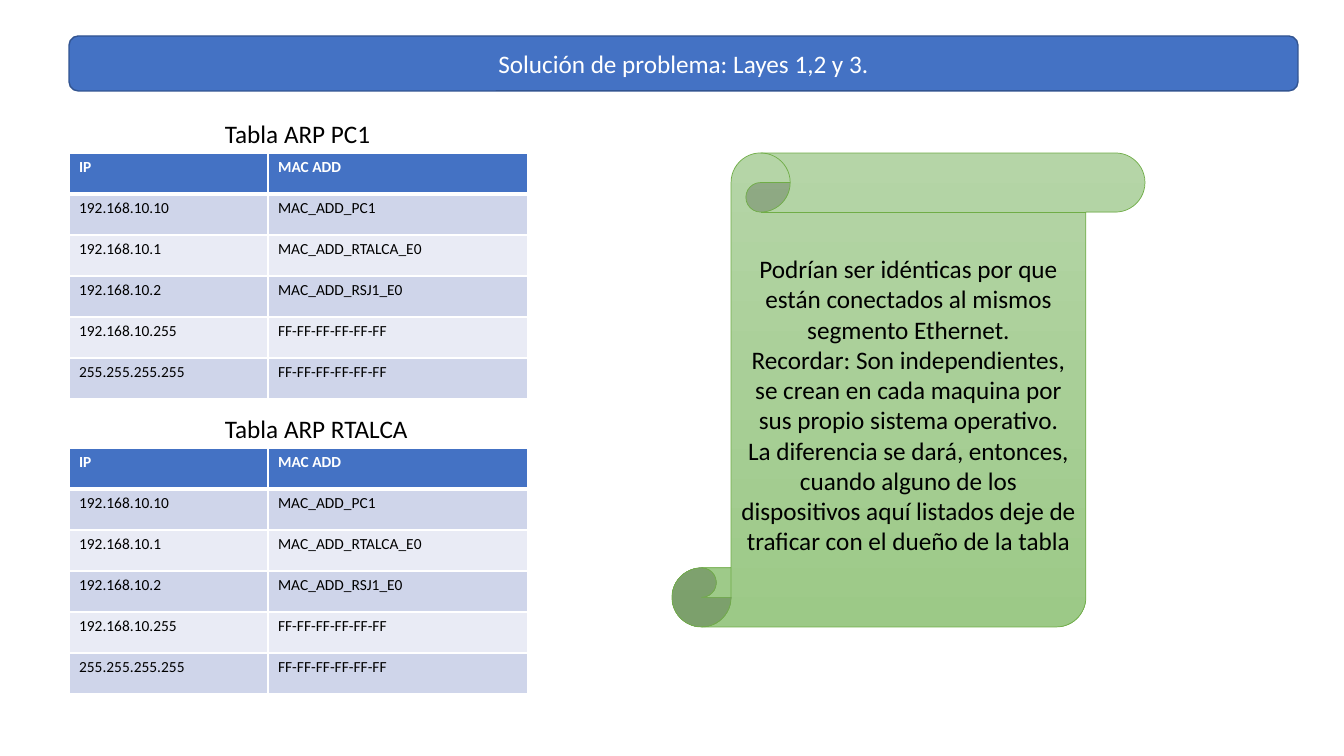
from dataclasses import dataclass

from lxml.etree import SubElement
from pptx import Presentation
from pptx.dml.color import RGBColor
from pptx.enum.shapes import MSO_SHAPE
from pptx.enum.text import MSO_ANCHOR, MSO_AUTO_SIZE, PP_ALIGN
from pptx.oxml.ns import qn
from pptx.util import Emu, Pt

TITLE = "Solución de problema: Layes 1,2 y 3."
HEADER = ("IP", "MAC ADD")
ARP_ENTRIES = [
    ("192.168.10.10", "MAC_ADD_PC1"),
    ("192.168.10.1", "MAC_ADD_RTALCA_E0"),
    ("192.168.10.2", "MAC_ADD_RSJ1_E0"),
    ("192.168.10.255", "FF-FF-FF-FF-FF-FF"),
    ("255.255.255.255", "FF-FF-FF-FF-FF-FF"),
]
ARP_TABLES = [("Tabla ARP PC1", ARP_ENTRIES), ("Tabla ARP RTALCA", ARP_ENTRIES)]
SCROLL_NOTES = [
    "Podrían ser idénticas por que están conectados al mismos segmento Ethernet.",
    "Recordar: Son independientes, se crean en cada maquina por sus propio sistema operativo.",
    "La diferencia se dará, entonces, cuando alguno de los dispositivos aquí listados "
    "deje de traficar con el dueño de la tabla",
]

EMU_PER_PIXEL = 914400 / 100.8
SLIDE_SIZE = (1344, 756)
BANNER_BOX = (69, 36, 1229, 55)
SCROLL_BOX = (672, 153, 473, 474)
TABLE_LEFT, FIRST_TABLE_TOP, TABLE_PITCH = 69, 153, 295
COLUMN_WIDTHS = (199, 260)
ROW_HEIGHT = 41
CAPTION_LEFT, CAPTION_WIDTH, CAPTION_HEIGHT = 215, 205, 40


@dataclass(frozen=True)
class Theme:
    """Colours, type sizes and line widths of the slide."""
    font: str = "Calibri"
    blue: str = "4472C4"
    blue_edge: str = "325491"
    white: str = "FFFFFF"
    black: str = "000000"
    bands: tuple = ("CFD5EA", "E9EBF5")
    scroll: tuple = ("B5D5A7", "9CC987")
    scroll_edge: str = "70AD47"
    text_size: float = 18
    cell_size: float = 11
    thin: float = 1
    header_rule: float = 3
    scroll_line: float = 0.5


THEME = Theme()


def pixels(*lengths):
    """Turn pixel lengths into EMU."""
    return [Emu(round(length * EMU_PER_PIXEL)) for length in lengths]


def colour(code):
    """Return the colour for a hexadecimal code."""
    return RGBColor.from_string(code)


def write(frame, texts, size, ink, align=PP_ALIGN.LEFT, bold=False):
    """Fill a text frame with one run per paragraph."""
    for index, text in enumerate(texts):
        paragraph = frame.add_paragraph() if index else frame.paragraphs[0]
        paragraph.alignment = align
        run = paragraph.add_run()
        run.text = text
        run.font.name, run.font.size, run.font.bold = THEME.font, Pt(size), bold
        run.font.color.rgb = colour(ink)


def add_outlined_shape(slide, preset, box, edge, width):
    """Add a preset shape without shadow and with a coloured outline."""
    shape = slide.shapes.add_shape(preset, *pixels(*box))
    shape.shadow.inherit = False
    shape.line.color.rgb = colour(edge)
    shape.line.width = Pt(width)
    return shape


def add_banner(slide):
    """Add the rounded banner and lay the title over it."""
    banner = add_outlined_shape(
        slide, MSO_SHAPE.ROUNDED_RECTANGLE, BANNER_BOX, THEME.blue_edge, THEME.thin)
    banner.fill.solid()
    banner.fill.fore_color.rgb = colour(THEME.blue)
    title = slide.shapes.title
    title.left, title.top, title.width, title.height = pixels(*BANNER_BOX)
    slide.shapes._spTree.append(title._element)
    frame = title.text_frame
    frame.auto_size, frame.word_wrap = MSO_AUTO_SIZE.NONE, True
    frame.vertical_anchor = MSO_ANCHOR.MIDDLE
    write(frame, [TITLE], THEME.text_size, THEME.white, PP_ALIGN.CENTER)


def border_cell(cell, widths):
    """Draw white borders, given as a width for each side tag."""
    properties = cell._tc.get_or_add_tcPr()
    for tag, width in widths.items():
        line = SubElement(properties, qn(tag), w=str(Pt(width)))
        fill = SubElement(line, qn("a:solidFill"))
        SubElement(fill, qn("a:srgbClr"), val=THEME.white)


def add_arp_table(slide, top, caption, entries):
    """Add a captioned ARP table with a header and banded rows."""
    caption_box = slide.shapes.add_textbox(
        *pixels(CAPTION_LEFT, top - CAPTION_HEIGHT, CAPTION_WIDTH, CAPTION_HEIGHT))
    caption_box.text_frame.word_wrap = False
    write(caption_box.text_frame, [caption], THEME.text_size, THEME.black)

    rows = [HEADER, *entries]
    table = slide.shapes.add_table(
        len(rows), len(HEADER),
        *pixels(TABLE_LEFT, top, sum(COLUMN_WIDTHS), ROW_HEIGHT * len(rows))).table
    for column, width in zip(table.columns, pixels(*COLUMN_WIDTHS)):
        column.width = width
    for row_index, values in enumerate(rows):
        is_header = row_index == 0
        band = THEME.blue if is_header else THEME.bands[(row_index - 1) % 2]
        ink = THEME.white if is_header else THEME.black
        widths = dict.fromkeys(("a:lnL", "a:lnR", "a:lnT", "a:lnB"), THEME.thin)
        if is_header:
            widths["a:lnB"] = THEME.header_rule
        elif row_index == 1:
            widths["a:lnT"] = THEME.header_rule
        for column_index, value in enumerate(values):
            cell = table.cell(row_index, column_index)
            border_cell(cell, widths)
            cell.fill.solid()
            cell.fill.fore_color.rgb = colour(band)
            write(cell.text_frame, [value], THEME.cell_size, ink, bold=is_header)


def add_scroll(slide):
    """Add the green scroll with the closing notes."""
    scroll = add_outlined_shape(
        slide, MSO_SHAPE.VERTICAL_SCROLL, SCROLL_BOX, THEME.scroll_edge, THEME.scroll_line)
    scroll.fill.gradient()
    scroll.fill.gradient_angle = 270
    for stop, code in zip(scroll.fill.gradient_stops, THEME.scroll):
        stop.color.rgb = colour(code)
    scroll.text_frame.word_wrap = True
    scroll.text_frame.vertical_anchor = MSO_ANCHOR.MIDDLE
    write(scroll.text_frame, SCROLL_NOTES, THEME.text_size, THEME.black, PP_ALIGN.CENTER)


def main():
    """Build the slide and save it."""
    presentation = Presentation()
    presentation.slide_width, presentation.slide_height = pixels(*SLIDE_SIZE)
    slide = presentation.slides.add_slide(presentation.slide_layouts.get_by_name("Title Only"))
    add_banner(slide)
    for index, (caption, entries) in enumerate(ARP_TABLES):
        add_arp_table(slide, FIRST_TABLE_TOP + index * TABLE_PITCH, caption, entries)
    add_scroll(slide)
    presentation.save("out.pptx")


main()
